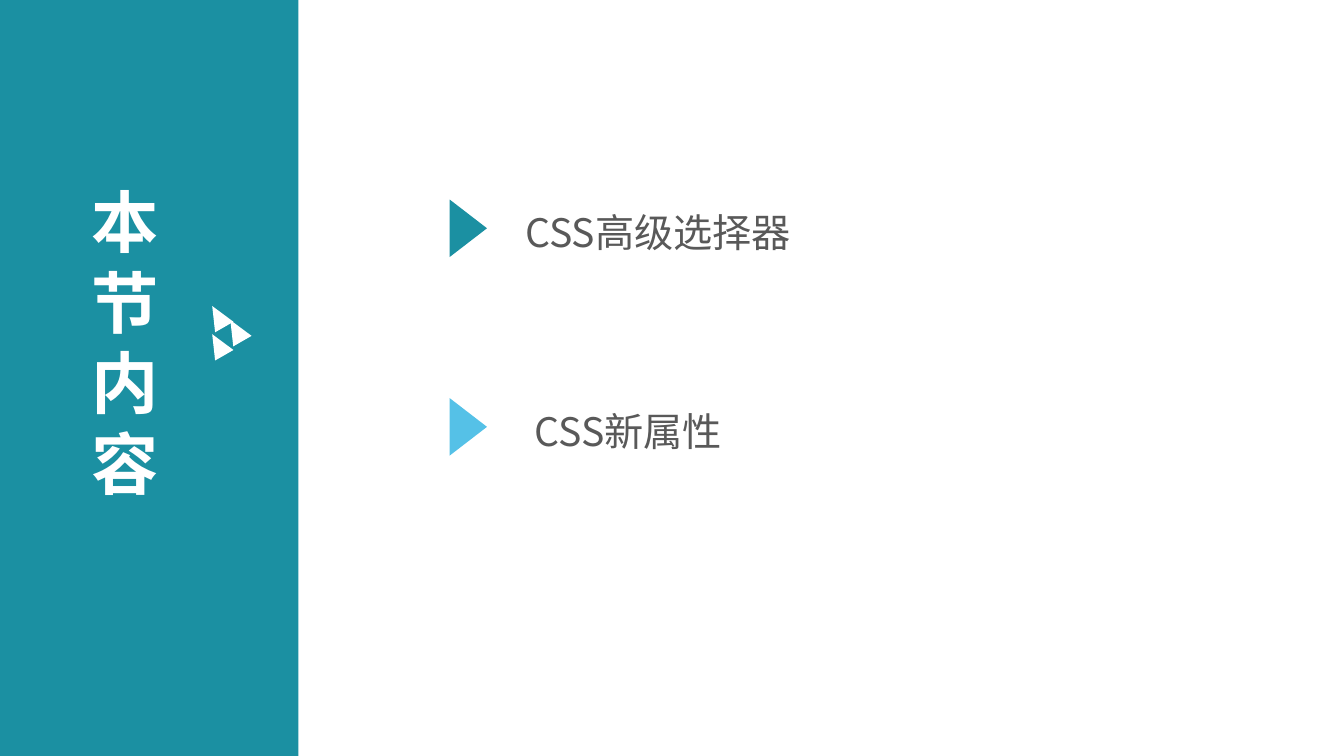
"""Builds a section contents slide with a title panel and two marked topics."""
from lxml.etree import SubElement
from pptx import Presentation
from pptx.dml.color import RGBColor
from pptx.enum.shapes import MSO_SHAPE as Shape
from pptx.enum.text import MSO_ANCHOR as Anchor, MSO_AUTO_SIZE as Fit, PP_ALIGN as Align
from pptx.oxml.ns import qn
from pptx.util import Inches, Pt

TEAL = RGBColor(0x1B, 0x90, 0xA2)
SKY = RGBColor(0x55, 0xC1, 0xE7)
GRAY = RGBColor(0x59, 0x59, 0x59)
WHITE = RGBColor(0xFF, 0xFF, 0xFF)
FACE = "Noto Sans CJK SC"
LEAD = 1.2


def place(shape, box):
    shape.left, shape.top, shape.width, shape.height = map(Inches, box)


def add_shape(shapes, kind, box, color, turn=0):
    shape = shapes.add_shape(kind, *map(Inches, box))
    shape.rotation = turn
    shape.shadow.inherit = False
    shape.fill.solid()
    shape.fill.fore_color.rgb = color
    shape.line.fill.background()
    return shape


def set_text(holder, text, box, size, color, bold=False):
    place(holder, box)
    frame = holder.text_frame
    frame.text = text
    frame.word_wrap = True
    frame.auto_size = Fit.NONE
    frame.vertical_anchor = Anchor.TOP
    para = frame.paragraphs[0]
    para.alignment = Align.LEFT
    para.line_spacing = Pt(size * LEAD)
    para.space_before = Pt(0)
    font = para.font
    font.size, font.bold, font.name = Pt(size), bold, FACE
    font.color.rgb = color
    SubElement(font._element, qn("a:ea"), typeface=FACE)
    props = para._p.get_or_add_pPr()
    props.set("marL", "0")
    props.set("indent", "0")
    font._element.addprevious(SubElement(props, qn("a:buNone")))


def add_mark(slide):
    group = slide.shapes.add_group_shape()
    for left, top in ((2.06, 3.02), (2.06, 3.3), (2.24, 3.16)):
        add_shape(group.shapes, Shape.ISOSCELES_TRIANGLE,
                  (left, top, 0.21, 0.24), WHITE, 330.2)


def main():
    deck = Presentation()
    deck.slide_width, deck.slide_height = Inches(13.33), Inches(7.5)
    slide = deck.slides.add_slide(deck.slide_layouts.get_by_name("Two Content"))
    title, *bodies = slide.placeholders

    panel = add_shape(slide.shapes, Shape.RECTANGLE, (0, 0, 2.96, 7.5), TEAL)
    title._element.addprevious(panel._element)
    set_text(title, "本节内容", (0.81, 1.74, 1.31, 3.33), 48, WHITE, True)
    add_mark(slide)

    topics = (("CSS高级选择器", 5.11, 5.73, TEAL), ("CSS新属性", 5.2, 5.39, SKY))
    for row, (body, (text, left, width, color)) in enumerate(zip(bodies, topics)):
        top = 2.02 + 1.97 * row
        set_text(body, text, (left, top, width, 0.57), 28, GRAY)
        add_shape(slide.shapes, Shape.ISOSCELES_TRIANGLE,
                  (4.36, top + 0.06, 0.57, 0.37), color, 90)

    deck.save("out.pptx")


if __name__ == "__main__":
    main()
